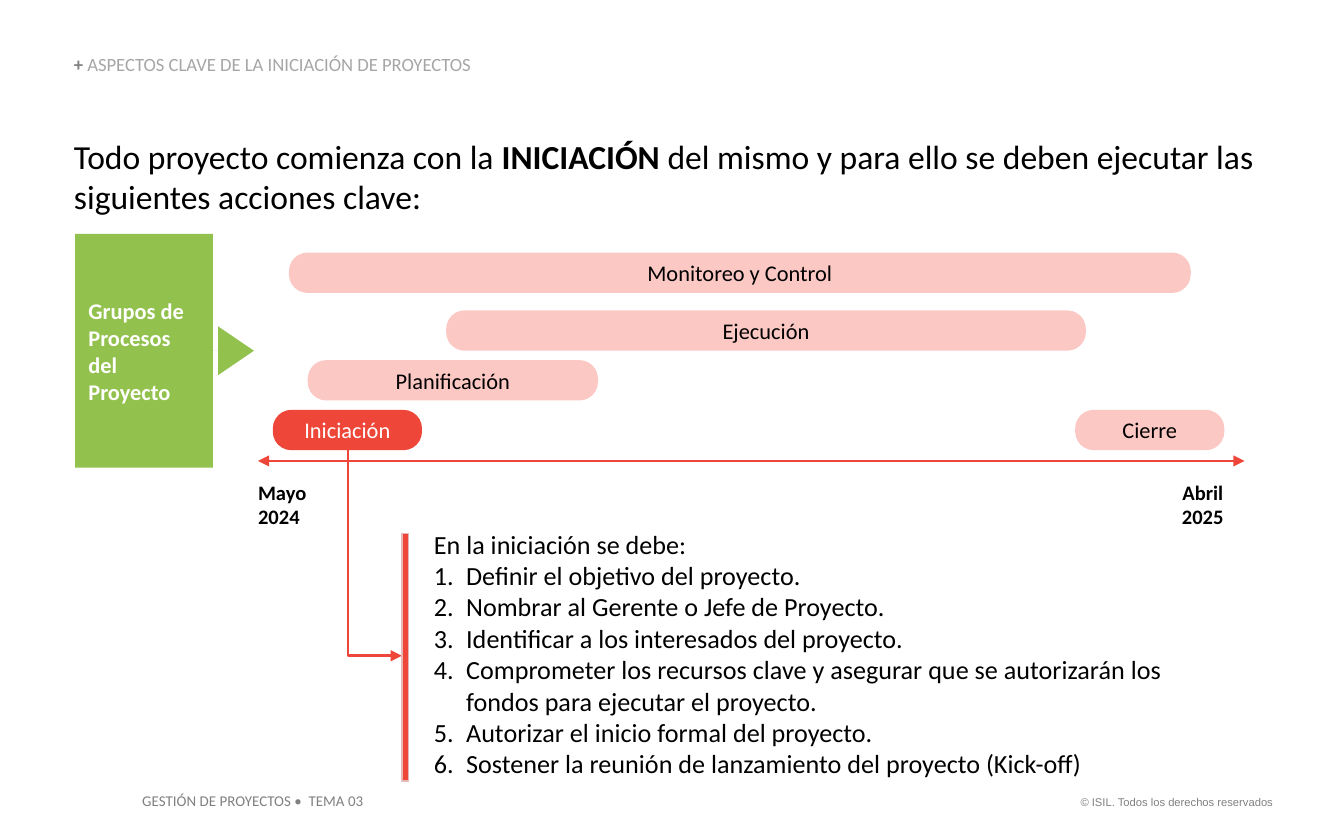
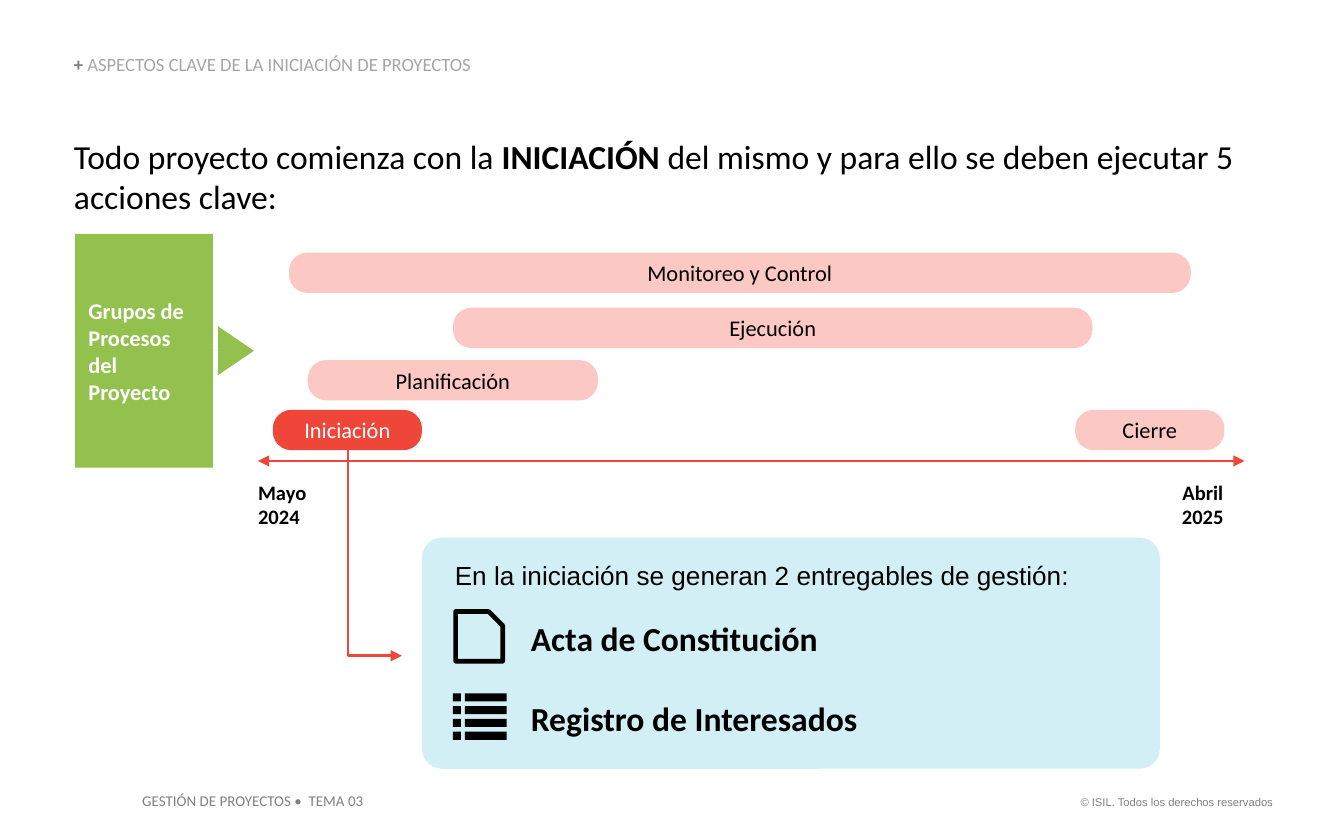
import pptx
import pptx.util
import pptx.dml.color
import pptx.enum.shapes
import pptx.enum.text
import pptx.oxml.ns
import lxml.etree

Inches = pptx.util.Inches
Pt = pptx.util.Pt
SHAPE = pptx.enum.shapes.MSO_SHAPE
LINK = pptx.enum.shapes.MSO_CONNECTOR
ALIGN = pptx.enum.text.PP_ALIGN
ANCHOR = pptx.enum.text.MSO_ANCHOR
FIT = pptx.enum.text.MSO_AUTO_SIZE

RED, PINK, GREEN, SKY = "EE4639", "FBC8C4", "92C14E", "D1EFF4"
BLACK, WHITE, GRAY, PALE = "000000", "FFFFFF", "808080", "A6A6A6"
INSET = (0.1, 0.05, 0.1, 0.05)
FLUSH = (0, 0, 0, 0)


def color(code):
    return pptx.dml.color.RGBColor.from_string(code)


def child(node, tag, **attrs):
    return lxml.etree.SubElement(node, pptx.oxml.ns.qn(tag), **attrs)


def write(shape, paras, size=12, font="Calibri", ink=BLACK, bold=False,
          align=ALIGN.LEFT, anchor=ANCHOR.TOP, inset=FLUSH, wrap=True,
          lead=None, steps=False):
    """Fill a shape; a paragraph is a string or a list of (text, ink, bold)."""
    frame = shape.text_frame
    frame.word_wrap = wrap
    frame.vertical_anchor = anchor
    (frame.margin_left, frame.margin_top,
     frame.margin_right, frame.margin_bottom) = map(Inches, inset)
    for n, runs in enumerate(paras):
        para = frame.paragraphs[0] if n == 0 else frame.add_paragraph()
        # Every paragraph after the lead-in line is numbered
        if steps and n:
            props = para._p.get_or_add_pPr()
            props.set("marL", str(Inches(0.24)))
            props.set("indent", str(-Inches(0.24)))
            child(props, "a:buAutoNum", type="arabicPeriod")
        para.alignment = align
        if lead:
            para.line_spacing = lead
        if isinstance(runs, str):
            runs = [(runs, ink, bold)]
        for words, tint, heavy in runs:
            run = para.add_run()
            run.text = words
            run.font.name = font
            run.font.size = Pt(size)
            run.font.bold = heavy
            run.font.color.rgb = color(tint)


def label(slide, box, paras, **form):
    item = slide.shapes.add_textbox(*map(Inches, box))
    write(item, paras, **form)
    item.text_frame.auto_size = FIT.SHAPE_TO_FIT_TEXT
    return item


def paint(item, fill=None, line=None, width=1):
    item.shadow.inherit = False
    if fill:
        item.fill.solid()
        item.fill.fore_color.rgb = color(fill)
    else:
        item.fill.background()
    if line:
        item.line.color.rgb = color(line)
        item.line.width = Pt(width)
    else:
        item.line.fill.background()


def block(slide, kind, box, adjust=(), **look):
    item = slide.shapes.add_shape(kind, *map(Inches, box))
    for n, value in enumerate(adjust):
        item.adjustments[n] = value
    paint(item, **look)
    return item


def arrow(slide, kind, ends, both=False):
    item = slide.shapes.add_connector(kind, *map(Inches, ends))
    item.line.color.rgb = color(RED)
    item.line.width = Pt(1.5)
    line = item.line._get_or_add_ln()
    if both:
        child(line, "a:headEnd", type="triangle")
    child(line, "a:tailEnd", type="triangle")
    child(item._element.spPr, "a:effectLst")
    return item


def elbow(slide, x, y, right, low):
    """Arrow that goes down first, then right: a turned one-bend connector."""
    wide, high = low - y, right - x
    left, top = (x + right - wide) / 2, (y + low - high) / 2
    item = arrow(slide, LINK.ELBOW, (left, top, left + wide, top + high))
    props = item._element.spPr
    props.find(pptx.oxml.ns.qn("a:prstGeom")).set("prst", "bentConnector2")
    frame = props.find(pptx.oxml.ns.qn("a:xfrm"))
    frame.set("rot", str(270 * 60000))
    frame.set("flipH", "1")


# Section line, lead sentence and footers
def base(deck, ending):
    slide = deck.slides.add_slide(deck.slide_layouts[6])
    label(slide, (7.91, 5.87, 1.66, 0.2),
          ["© ISIL. Todos los derechos reservados"], size=6, font="Arial",
          ink=GRAY, align=ALIGN.RIGHT, inset=INSET, wrap=False)
    label(slide, (0.96, 5.84, 1.85, 0.24), ["GESTIÓN DE PROYECTOS •  TEMA 03"],
          size=8, ink=GRAY, inset=INSET, wrap=False)
    label(slide, (0.55, 0.41, 3.86, 0.15),
          [[("+ ", GRAY, True),
            ("ASPECTOS CLAVE DE LA INICIACIÓN DE PROYECTOS", PALE, False)]],
          size=10, anchor=ANCHOR.BOTTOM, lead=0.9)
    label(slide, (0.55, 1.01, 8.91, 0.61),
          [[("Todo proyecto comienza con la ", BLACK, False),
            ("INICIACIÓN", BLACK, True),
            (" del mismo y para ello se deben ejecutar " + ending,
             BLACK, False)]], size=18)
    return slide


# Process groups over the project's time axis
def groups(slide, x, y, middle):
    arrow(slide, LINK.STRAIGHT, (x + 1.36, y + 1.69, x + 8.7, y + 1.69),
          both=True)
    for left, date, align in ((1.36, "Mayo 2024", ALIGN.LEFT),
                              (8.07, "Abril 2025", ALIGN.CENTER)):
        label(slide, (x + left, y + 1.83, 0.64, 0.37), [date], size=11,
              bold=True, align=align)
    bars = [("Monitoreo y Control", 1.59, 0.14, 6.71, PINK, BLACK),
            ("Ejecución", *middle, 4.76, PINK, BLACK),
            ("Planificación", 1.73, 0.94, 2.16, PINK, BLACK),
            ("Iniciación", 1.47, 1.31, 1.11, RED, WHITE),
            ("Cierre", 7.44, 1.31, 1.11, PINK, BLACK)]
    for name, left, top, wide, fill, ink in bars:
        bar = block(slide, SHAPE.ROUNDED_RECTANGLE,
                    (x + left, y + top, wide, 0.3), (0.46,), fill=fill)
        write(bar, [name], ink=ink, align=ALIGN.CENTER, anchor=ANCHOR.MIDDLE)
    sign = block(slide, SHAPE.RIGHT_ARROW_CALLOUT, (x, y, 1.33, 1.74),
                 (0, 0.136, 0.2, 0.77), fill=GREEN)
    write(sign, ["Grupos de Procesos del Proyecto"], ink=WHITE, bold=True,
          anchor=ANCHOR.MIDDLE, inset=INSET)
    elbow(slide, x + 2.03, y + 1.61, x + 2.43, y + 3.14)


# Numbered actions beside a red rule
def actions(slide, x, y):
    label(slide, (x + 0.14, y, 5.98, 1.99), [
        "En la iniciación se debe:",
        "Definir el objetivo del proyecto.",
        "Nombrar al Gerente o Jefe de Proyecto.",
        "Identificar a los interesados del proyecto.",
        "Comprometer los recursos clave y asegurar que se autorizarán los "
        "fondos para ejecutar el proyecto.",
        "Autorizar el inicio formal del proyecto.",
        "Sostener la reunión de lanzamiento del proyecto (Kick-off)",
    ], size=14, inset=INSET, steps=True)
    block(slide, SHAPE.RECTANGLE, (x, y + 0.09, 0.05, 1.84), fill=RED,
          line="E6B9B8")


# List icon: four rows, each a dot and a bar
def rows(slide, x, y):
    pen = None
    for n in range(4):
        top = y + n * 0.095
        for left, wide in ((x, 0.06), (x + 0.09, 0.31)):
            right, low = left + wide, top + 0.06
            dots = [(Inches(a), Inches(b)) for a, b in
                    ((left, top), (right, top), (right, low), (left, low))]
            if pen is None:
                pen = slide.shapes.build_freeform(*dots[0], scale=1.0)
            else:
                pen.move_to(*dots[0])
            pen.add_line_segments(dots[1:], close=True)
    paint(pen.convert_to_shape(), fill=BLACK)


# Panel with the two deliverables
def panel(slide, x, y):
    card = block(slide, SHAPE.ROUNDED_RECTANGLE, (x, y, 5.49, 1.72), (0.087,),
                 fill=SKY)
    write(card, ["En la iniciación se generan 2 entregables de gestión:"],
          size=14, font="Arial", inset=(0.2, 0.12, 0, 0))
    block(slide, SHAPE.SNIP_1_RECTANGLE, (x + 0.25, y + 0.55, 0.35, 0.37),
          (0.3,), line=BLACK, width=2.5)
    rows(slide, x + 0.23, y + 1.16)
    for n, name in enumerate(("Acta de Constitución",
                              "Registro de Interesados")):
        label(slide, (x + 0.81, y + 0.6 + n * 0.59, 4.16, 0.3), [name],
              size=18, bold=True)


def main():
    deck = pptx.Presentation()
    deck.slide_width, deck.slide_height = Inches(10), Inches(6.25)

    slide = base(deck, "las siguientes acciones clave:")
    groups(slide, 0.56, 1.74, middle=(2.76, 0.57))
    actions(slide, 2.99, 3.88)

    slide = base(deck, "5 acciones clave:")
    groups(slide, 0.56, 1.74, middle=(2.81, 0.55))
    panel(slide, 3.14, 4)

    deck.save("out.pptx")


if __name__ == "__main__":
    main()
